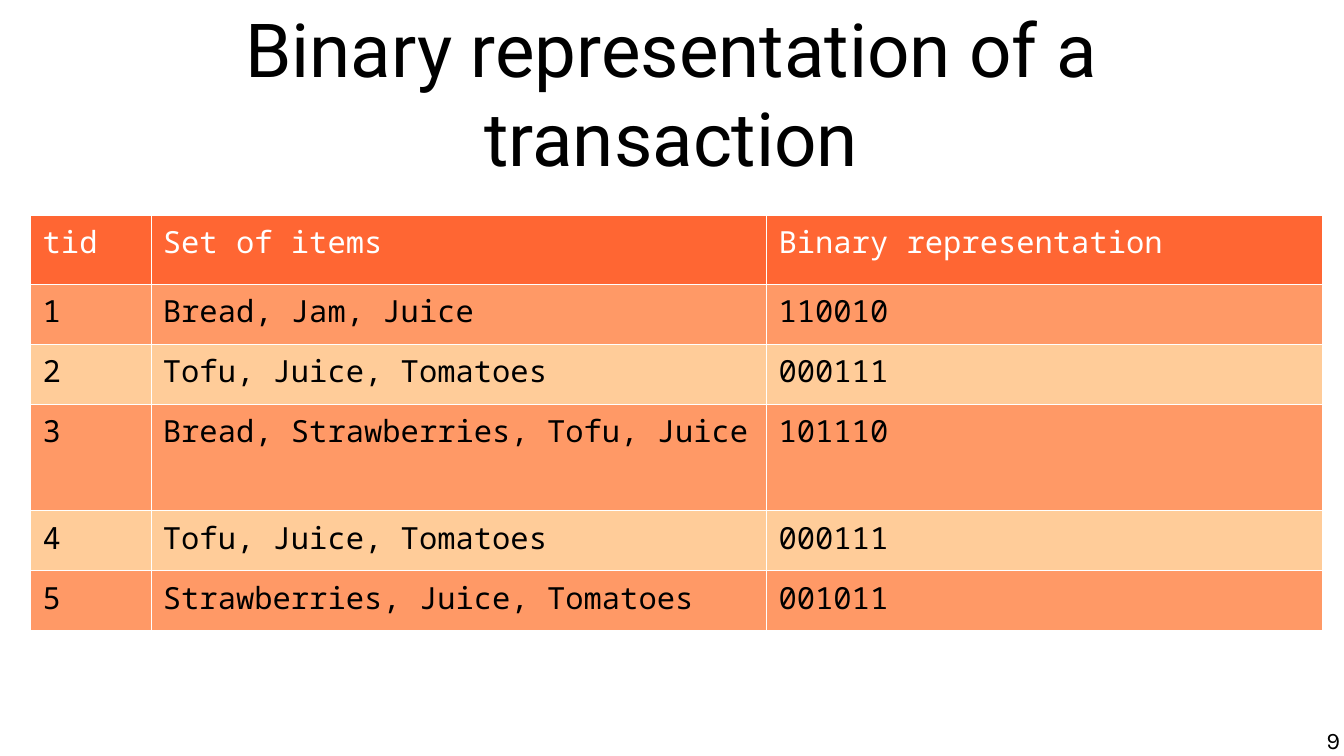
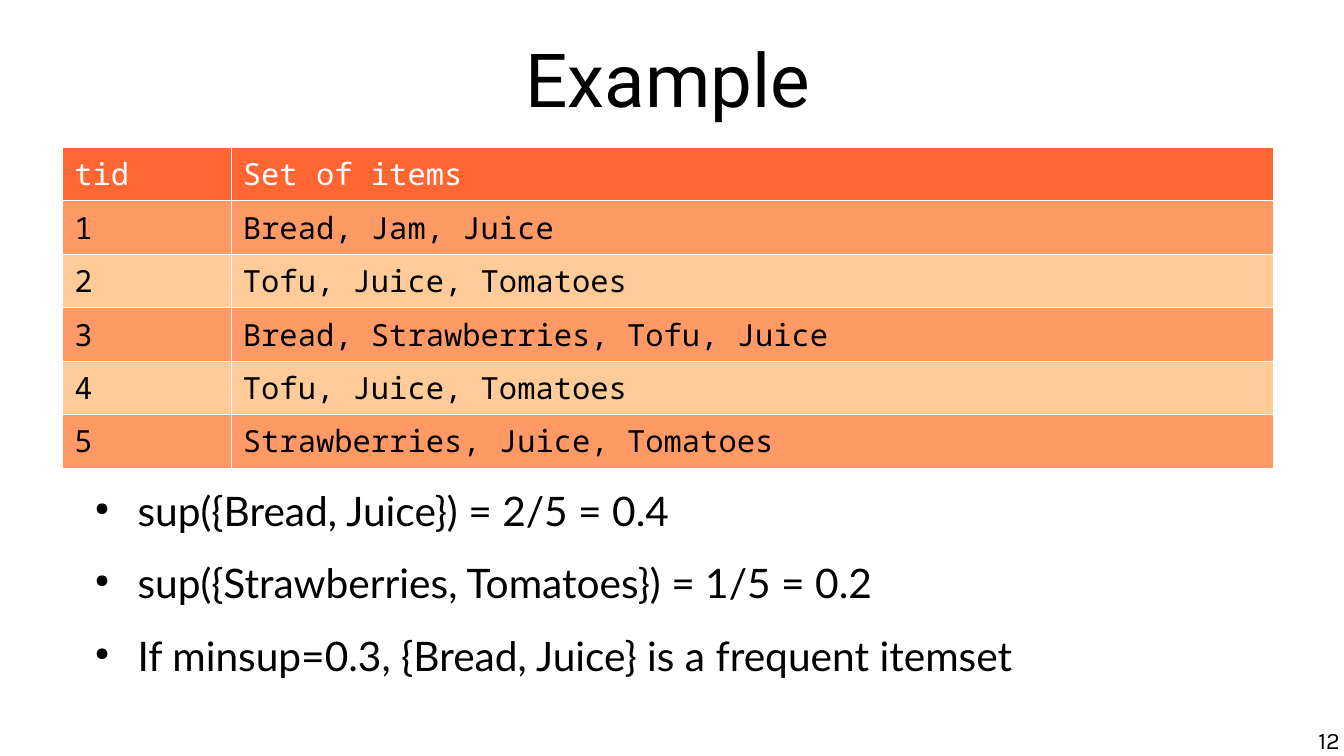
from lxml import etree
from pptx import Presentation
from pptx.dml.color import RGBColor
from pptx.enum.text import MSO_ANCHOR, PP_ALIGN
from pptx.oxml.ns import qn
from pptx.util import Pt

CENTER, RIGHT, LEFT = PP_ALIGN.CENTER, PP_ALIGN.RIGHT, PP_ALIGN.LEFT
TOP, MIDDLE = MSO_ANCHOR.TOP, MSO_ANCHOR.MIDDLE

# Content
HEADER = ("tid", "Set of items", "Binary representation")
TRANSACTIONS = [
    ("1", "Bread, Jam, Juice", "110010"),
    ("2", "Tofu, Juice, Tomatoes", "000111"),
    ("3", "Bread, Strawberries, Tofu, Juice", "101110"),
    ("4", "Tofu, Juice, Tomatoes", "000111"),
    ("5", "Strawberries, Juice, Tomatoes", "001011"),
]
SUPPORT_POINTS = [
    "sup({Bread, Juice}) = 2/5 = 0.4",
    "sup({Strawberries, Tomatoes}) = 1/5 = 0.2",
    "If minsup=0.3, {Bread, Juice} is a frequent itemset",
]
# Boxes are left, top, width, height in points
SLIDES = [
    {"title": "Binary representation of a transaction", "number": "9",
     "title_box": (39.5, 0.7, 714, 107.3), "table_at": (18, 126.7),
     "columns": (71, 363.5, 328), "rows": (41, 35.4, 35.4, 63, 35.4, 35.4),
     "points": []},
    {"title": "Example", "number": "12",
     "title_box": (37.4, 10, 714, 71.3), "table_at": (36.7, 86.8),
     "columns": (99.5, 615.5), "rows": (31.6,) * 6,
     "points": SUPPORT_POINTS},
]

# Shared style
SLIDE_SIZE = (793.5, 446.4)
COLORS = {"text": "000000", "header_text": "FFFFFF", "border": "FFFFFF",
          "header": "FF6633", "odd": "FF9966", "even": "FFCC99"}
TITLE_FONT = ("Roboto", 44)
TABLE_FONT = ("Noto Sans Mono", 18)
POINT_FONT = ("Lato", 24)
NUMBER_FONT = ("Karla", 14)
POINTS_BOX = (47.5, 286.6, 714, 138)
NUMBER_BOX = (606.2, 428.4, 185, 18)
BORDER_WIDTH = 0.06


def color(name):
    return RGBColor.from_string(COLORS[name])


def set_font(para, font, color_name="text"):
    para.font.name, size = font
    para.font.size = Pt(size)
    para.font.bold = False
    para.font.color.rgb = color(color_name)


def add_bullet(para):
    properties = para._p.get_or_add_pPr()
    properties.set("marL", str(Pt(33.8)))
    properties.set("indent", str(-Pt(25.2)))
    bullet_color = etree.SubElement(properties, qn("a:buClr"))
    etree.SubElement(bullet_color, qn("a:srgbClr"), val=COLORS["text"])
    etree.SubElement(properties, qn("a:buSzPct"), val="45000")
    etree.SubElement(properties, qn("a:buChar"), char="●")


def add_text(page, place, lines, font, align=LEFT, anchor=TOP, bullets=False):
    frame = page.shapes.add_textbox(*map(Pt, place)).text_frame
    frame.word_wrap = True
    frame.vertical_anchor = anchor
    frame.margin_left = frame.margin_top = 0
    frame.margin_right = frame.margin_bottom = 0
    for index, line in enumerate(lines):
        para = frame.paragraphs[0] if index == 0 else frame.add_paragraph()
        para.text = line
        para.alignment = align
        if bullets:
            add_bullet(para)
        if index:
            para.space_before = Pt(14.2)
        set_font(para, font)


def add_borders(cell):
    properties = cell._tc.get_or_add_tcPr()
    for side in ("lnL", "lnR", "lnT", "lnB"):
        line = etree.SubElement(properties, qn("a:" + side),
                                w=str(Pt(BORDER_WIDTH)))
        fill = etree.SubElement(line, qn("a:solidFill"))
        etree.SubElement(fill, qn("a:srgbClr"), val=COLORS["border"])


def add_transaction_table(page, corner, widths, heights):
    place = (*corner, sum(widths), sum(heights))
    table = page.shapes.add_table(len(heights), len(widths),
                                  *map(Pt, place)).table
    for column, width in zip(table.columns, widths):
        column.width = Pt(width)
    for row, height in zip(table.rows, heights):
        row.height = Pt(height)

    for row_index, values in enumerate([HEADER] + TRANSACTIONS):
        if row_index == 0:
            fill, text_color = "header", "header_text"
        else:
            fill, text_color = ("odd" if row_index % 2 else "even"), "text"
        for column_index, value in enumerate(values[:len(widths)]):
            cell = table.cell(row_index, column_index)
            add_borders(cell)
            cell.fill.solid()
            cell.fill.fore_color.rgb = color(fill)
            cell.text = value
            set_font(cell.text_frame.paragraphs[0], TABLE_FONT, text_color)


def main():
    deck = Presentation()
    deck.slide_width, deck.slide_height = map(Pt, SLIDE_SIZE)
    for content in SLIDES:
        page = deck.slides.add_slide(deck.slide_layouts[6])
        add_text(page, content["title_box"], [content["title"]], TITLE_FONT,
                 CENTER, MIDDLE)
        if content["points"]:
            add_text(page, POINTS_BOX, content["points"], POINT_FONT,
                     bullets=True)
        add_transaction_table(page, content["table_at"], content["columns"],
                              content["rows"])
        add_text(page, NUMBER_BOX, [content["number"]], NUMBER_FONT, RIGHT)
    deck.save("out.pptx")


if __name__ == "__main__":
    main()
